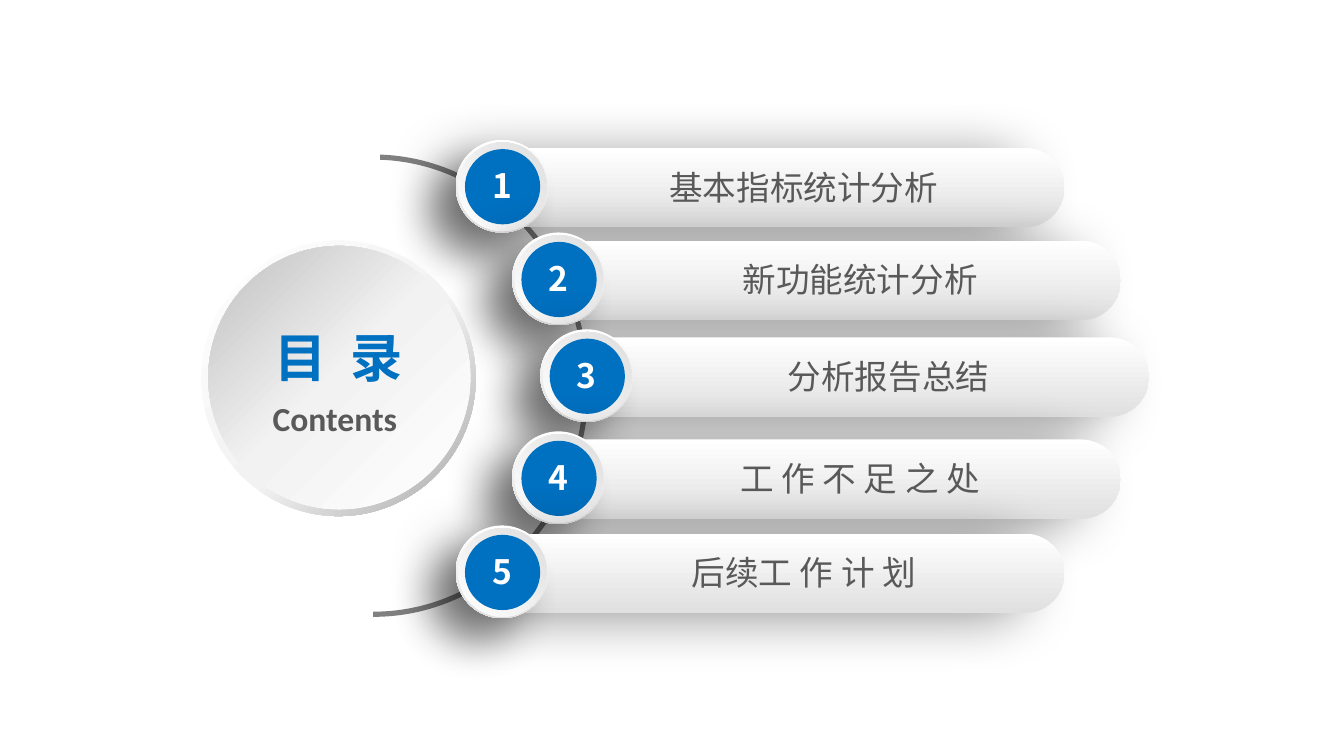
import pptx
import pptx.util
import pptx.dml.color
import pptx.enum.shapes
import pptx.enum.text
import pptx.oxml
import pptx.oxml.ns
from dataclasses import dataclass
from lxml import etree

Inches = pptx.util.Inches
Kind = pptx.enum.shapes.MSO_SHAPE
Align = pptx.enum.text.PP_ALIGN
qn = pptx.oxml.ns.qn


@dataclass(frozen=True)
class Theme:
    blue: str = "0070C0"
    white: str = "FFFFFF"
    dark: str = "595959"
    arc: str = "808080"
    head: int = 28
    body: int = 18
    cjk: str = "Noto Sans CJK SC"
    plain: str = "Arial"
    latin: str = "Calibri"
    soft: tuple = ((0, "FFFFFF"), (100, "E0E0E0"))
    rim: tuple = ((0, "FFFFFF"), (100, "DDDEDD"))
    ring: tuple = ((0, "FFFFFF"), (55, "F2F2F2"), (100, "A6A6A6"))
    disc: tuple = ((0, "FFFFFF"), (51, "F2F2F2"), (100, "BFBFBF"))


THEME = Theme()

# Label, left and top of each row
ROWS = [
    ("基本指标统计分析", 3.39, 1.04),
    ("新功能统计分析", 3.81, 1.73),
    ("分析报告总结", 4.02, 2.45),
    ("工 作 不 足 之 处", 3.81, 3.21),
    ("后续工 作 计 划", 3.39, 3.91),
]


def rgb(code):
    return pptx.dml.color.RGBColor.from_string(code)


def node(up, tag, **attrs):
    item = etree.SubElement(up, qn("a:" + tag))
    for key, val in attrs.items():
        item.set(key, str(val))
    return item


def blend(shape, stops, angle):
    """Fill with a gradient; the angle runs clockwise."""
    shape.fill.background()
    props = shape.element.spPr
    old = props.find(qn("a:noFill"))
    grad = etree.Element(qn("a:gradFill"), rotWithShape="1")
    props.replace(old, grad)
    steps = node(grad, "gsLst")
    for pos, code in stops:
        node(node(steps, "gs", pos=pos * 1000), "srgbClr", val=code)
    node(grad, "lin", ang=angle * 60000, scaled=0)


def shade(shape, blur, angle):
    """Cast a soft black shadow 20 points away."""
    effects = shape.element.spPr.find(qn("a:effectLst"))
    cast = node(effects, "outerShdw", blurRad=pptx.util.Pt(blur),
                dist=pptx.util.Pt(20), dir=angle * 60000,
                algn="ctr", rotWithShape=0)
    node(node(cast, "srgbClr", val="000000"), "alpha", val=40000)


def form(shapes, kind, box, fill, angle=90, adj=(), flip=False):
    """Add a preset shape with a plain or a gradient fill."""
    shape = shapes.add_shape(kind, *map(Inches, box))
    shape.shadow.inherit = False
    shape.line.fill.background()
    for i, val in enumerate(adj):
        shape.adjustments[i] = val
    if flip:
        shape.element.spPr.xfrm.set("flipH", "1")
    if isinstance(fill, str):
        shape.fill.solid()
        shape.fill.fore_color.rgb = rgb(fill)
    else:
        blend(shape, fill, angle)
    return shape


def write(shape, text, font, size, color, bold=False, align=Align.CENTER):
    frame = shape.text_frame
    frame.word_wrap = True
    frame.auto_size = pptx.enum.text.MSO_AUTO_SIZE.SHAPE_TO_FIT_TEXT
    frame.vertical_anchor = pptx.enum.text.MSO_ANCHOR.TOP
    para = frame.paragraphs[0]
    para.alignment = align
    run = para.add_run()
    run.text = text
    run.font.name = font
    run.font.size = pptx.util.Pt(size)
    run.font.bold = bold
    run.font.color.rgb = rgb(color)
    for props in shape.element.iter(qn("a:rPr")):
        node(props, "ea", typeface=THEME.cjk)


def label(shapes, box, text, **style):
    write(shapes.add_textbox(*map(Inches, box)), text, **style)


def row(slide, num, text, x, y):
    """Add one bar with its numbered badge."""
    shapes = slide.shapes.add_group_shape().shapes
    bar = form(shapes, Kind.ROUNDED_RECTANGLE, (x + .15, y + .06, 4.38, .59),
               THEME.soft, adj=[.5], flip=True)
    shade(bar, 30, 171)
    base = form(shapes, Kind.OVAL, (x, y, .69, .69), THEME.soft)
    shade(base, 22, 135)
    form(shapes, Kind.OVAL, (x + .02, y + .02, .66, .66), THEME.rim, 315)
    form(shapes, Kind.OVAL, (x + .07, y + .07, .56, .56), THEME.blue)
    label(shapes, (x + .12, y + .14, .45, .4), str(num), font=THEME.cjk,
          size=THEME.body, color=THEME.white, bold=True)
    label(shapes, (x + 1.23, y + .15, 2.72, .4), text, font=THEME.plain,
          size=THEME.body, color=THEME.dark)


def hub(slide):
    """Add the large disc with the title on it."""
    shapes = slide.shapes.add_group_shape().shapes
    form(shapes, Kind.DONUT, (1.5, 1.79, 2.04, 2.05), THEME.ring, 135,
         adj=[.049], flip=True)
    form(shapes, Kind.OVAL, (1.55, 1.83, 1.95, 1.96), THEME.disc, 315,
         flip=True)
    label(shapes, (1.93, 2.91, 1.18, .4), "Contents", font=THEME.latin,
          size=THEME.body, color=THEME.dark, bold=True, align=Align.LEFT)

    # The title sits in front of the disc
    title = slide.shapes.title
    title.left, title.top = Inches(1.81), Inches(2.37)
    title.width, title.height = Inches(1.42), Inches(.57)
    write(title, "目  录", font=THEME.cjk, size=THEME.head,
          color=THEME.blue, bold=True)
    title.element.getparent().append(title.element)


def main():
    # Widescreen page, 16 to 9
    deck = pptx.Presentation()
    deck.slide_width = Inches(10)
    deck.slide_height = deck.slide_width * 9 // 16
    slide = deck.slides.add_slide(deck.slide_layouts[5])

    # Arc behind the badges
    arc = form(slide.shapes, Kind.BLOCK_ARC, (1.06, 1.27, 3.44, 3.2),
               THEME.arc, adj=[108.972, .07, .012])
    arc.rotation = 90

    # Numbered rows
    for num, (text, x, y) in enumerate(ROWS, 1):
        row(slide, num, text, x, y)

    hub(slide)
    deck.save("out.pptx")


main()
